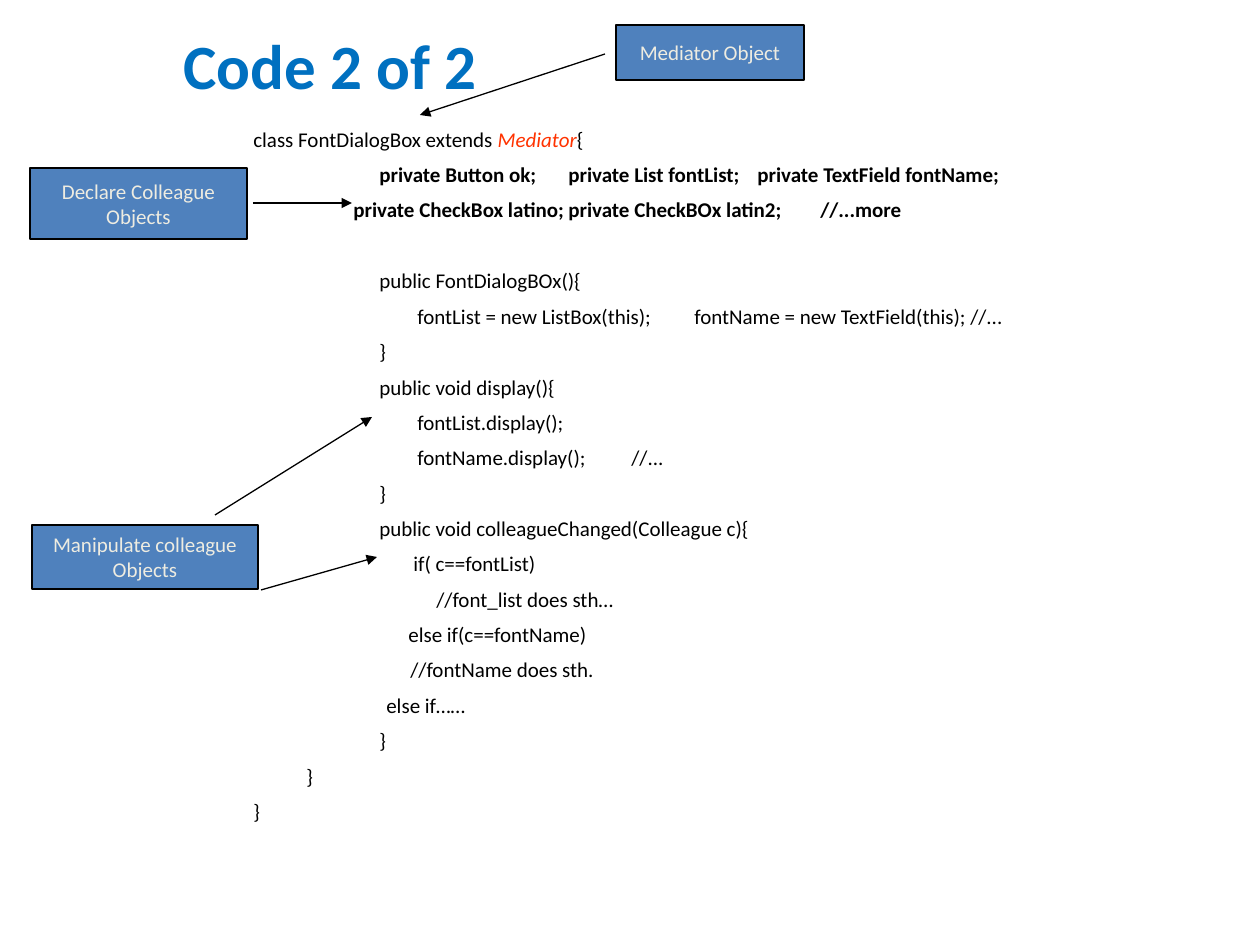
from lxml.etree import SubElement
from pptx import Presentation
from pptx.dml.color import RGBColor
from pptx.enum.shapes import MSO_CONNECTOR, MSO_SHAPE
from pptx.enum.text import MSO_ANCHOR, PP_ALIGN
from pptx.oxml.ns import qn
from pptx.util import Emu, Pt

COLORS = {
    "title": "0070C0",
    "ink": "000000",
    "mediator": "FF3300",
    "box": "4F81BD",
    "label": "EEECE1",
}
FONT = "Calibri"
BODY_SIZE = 12
LINE_GAP = 5.8
BLOCK_GAP = 26.2

CODE = [
    (0, ["class FontDialogBox extends ", "Mediator", "{"], {"gap": 0}),
    (126, ["private Button ok;\tprivate List fontList;\tprivate TextField fontName;"],
     {"bold": True, "tabs": (297, 483)}),
    (100, ["private CheckBox latino;\tprivate CheckBOx latin2;\t//...more"],
     {"bold": True, "tabs": (329, 552)}),
    (126, ["public FontDialogBOx(){"], {"gap": BLOCK_GAP}),
    (164, ["fontList = new ListBox(this);\tfontName = new TextField(this); //..."],
     {"tabs": (412,)}),
    (126, ["}"], {}),
    (126, ["public void display(){"], {}),
    (164, ["fontList.display();"], {}),
    (164, ["fontName.display();\t//..."], {"tabs": (356,)}),
    (126, ["}"], {}),
    (126, ["public void colleagueChanged(Colleague c){"], {}),
    (160, ["if( c==fontList)"], {}),
    (183, ["//font_list does sth…"], {}),
    (155, ["else if(c==fontName)"], {}),
    (157, ["//fontName does sth."], {}),
    (133, ["else if……"], {}),
    (126, ["}"], {}),
    (53, ["}"], {}),
    (0, ["}"], {}),
]
CALLOUTS = [
    ((30, 168, 217, 71), ["Declare Colleague", "Objects"]),
    ((32, 525, 226, 64), ["Manipulate colleague", "Objects"]),
    ((616, 25, 188, 55), ["Mediator Object"]),
]
ARROWS = [
    ((215, 515), (372, 417)),
    ((261, 590), (377, 557)),
    ((253, 203), (352, 203)),
    ((605, 54), (420, 115)),
]


def px(length):
    return Emu(round(length * 914400 / 126))


def color(name):
    return RGBColor.from_string(COLORS[name])


class CodeSlide:
    """Draws titles, code, callouts and arrows in one style on one slide."""

    def __init__(self, slide):
        self.slide = slide

    def style(self, paragraph, size, name, bold=False):
        font = paragraph.font
        font.name, font.size, font.bold = FONT, Pt(size), bold
        font.color.rgb = color(name)

    def title(self, text, box):
        heading = self.slide.shapes.title
        heading.left, heading.top, heading.width, heading.height = map(px, box)
        frame = heading.text_frame
        frame.text = text
        frame.vertical_anchor = MSO_ANCHOR.MIDDLE
        paragraph = frame.paragraphs[0]
        paragraph.alignment = PP_ALIGN.CENTER
        self.style(paragraph, 36, "title", bold=True)

    def code(self, lines, box):
        frame = self.slide.shapes.add_textbox(*map(px, box)).text_frame
        frame.word_wrap = True
        for number, (indent, parts, options) in enumerate(lines):
            paragraph = frame.add_paragraph() if number else frame.paragraphs[0]
            self.code_line(paragraph, indent, parts, **options)

    def code_line(self, paragraph, indent, parts, gap=LINE_GAP, bold=False, tabs=()):
        properties = paragraph._p.get_or_add_pPr()
        properties.set("marL", "0")
        properties.set("indent", str(px(indent)))
        if tabs:
            stops = SubElement(properties, qn("a:tabLst"))
            for stop in tabs:
                SubElement(stops, qn("a:tab"), pos=str(px(stop)), algn="l")
        paragraph.space_before = Pt(gap)
        self.style(paragraph, BODY_SIZE, "ink", bold)
        for part in parts:
            run = paragraph.add_run()
            run.text = part
            if part == "Mediator":
                run.font.italic = True
                run.font.color.rgb = color("mediator")

    def callout(self, box, lines):
        label = self.slide.shapes.add_shape(MSO_SHAPE.RECTANGLE, *map(px, box))
        label.shadow.inherit = False
        label.fill.solid()
        label.fill.fore_color.rgb = color("box")
        label.line.color.rgb = color("ink")
        label.line.width = Pt(0.75)
        frame = label.text_frame
        frame.text = "\n".join(lines)
        frame.word_wrap = False
        frame.vertical_anchor = MSO_ANCHOR.MIDDLE
        for paragraph in frame.paragraphs:
            paragraph.alignment = PP_ALIGN.CENTER
            self.style(paragraph, BODY_SIZE, "label")

    def arrow(self, start, end):
        pointer = self.slide.shapes.add_connector(
            MSO_CONNECTOR.STRAIGHT, *map(px, start + end))
        pointer.line.color.rgb = color("ink")
        pointer.line.width = Pt(0.75)
        SubElement(pointer.line._get_or_add_ln(), qn("a:tailEnd"), type="triangle")
        SubElement(pointer._element.spPr, qn("a:effectLst"))


def main():
    deck = Presentation()
    deck.slide_width, deck.slide_height = px(1260), px(945)
    page = CodeSlide(deck.slides.add_slide(deck.slide_layouts[5]))
    page.title("Code 2 of 2", (48, 35, 564, 58))
    page.code(CODE, (241, 120, 882, 757))
    for box, lines in CALLOUTS:
        page.callout(box, lines)
    for start, end in ARROWS:
        page.arrow(start, end)
    deck.save("out.pptx")


if __name__ == "__main__":
    main()
